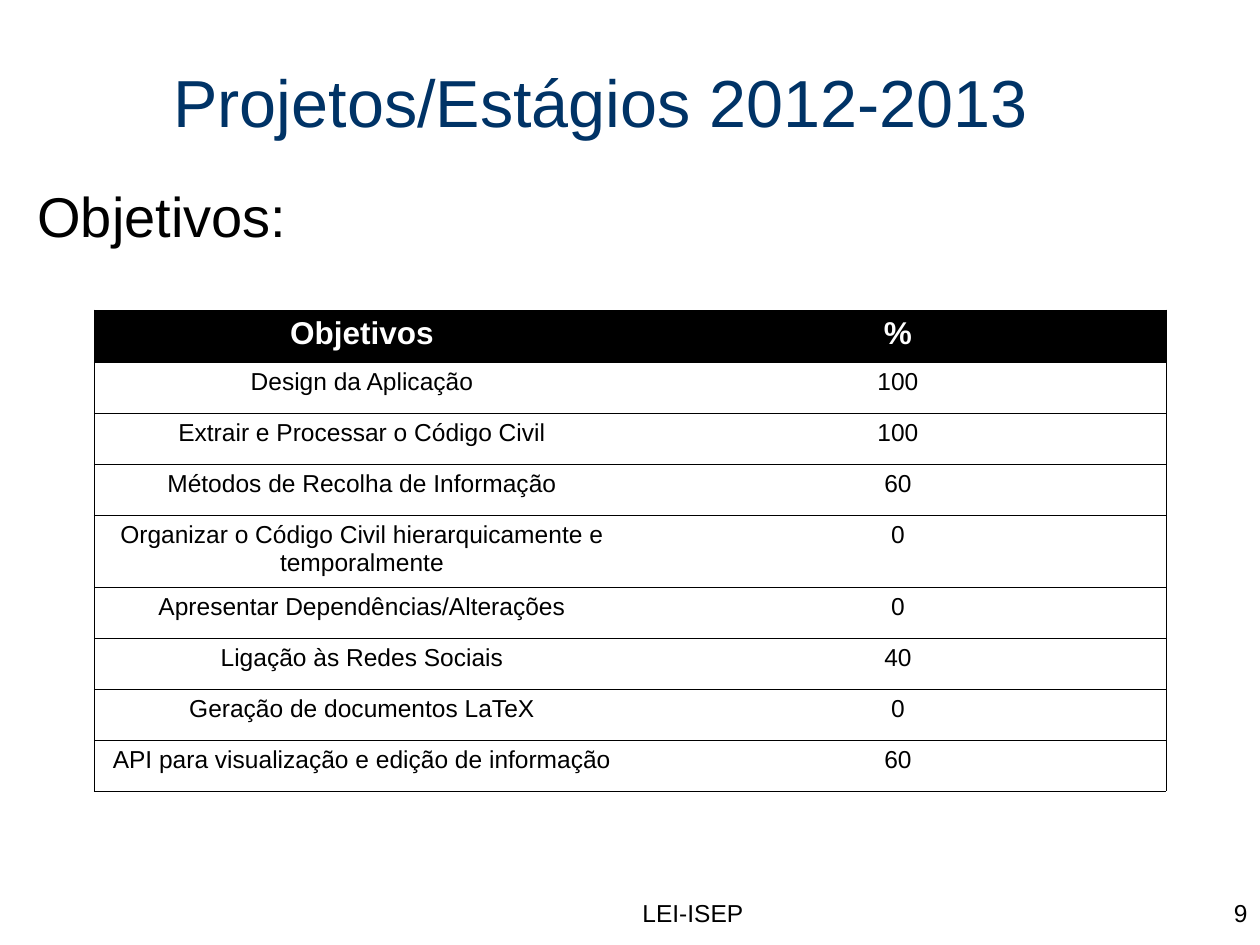
import pptx
import pptx.util
import pptx.dml.color
import pptx.enum.text
import pptx.oxml
import pptx.oxml.ns

PX = 914400 // 126
ALIGN = pptx.enum.text.PP_ALIGN
ANCHOR = pptx.enum.text.MSO_ANCHOR
BORDER = ('<a:{tag} xmlns:a="http://schemas.openxmlformats.org/drawingml/2006/main" w="4320">'
          '<a:solidFill><a:srgbClr val="000000"/></a:solidFill></a:{tag}>')


def rgb(value):
    return pptx.dml.color.RGBColor.from_string(value)


def write(tf, text, size, color, align, bold=False):
    p = tf.paragraphs[0]
    p.alignment = align
    r = p.add_run()
    r.text = text
    font = {"name": "Arial", "size": pptx.util.Pt(size), "bold": bold}
    for key, value in font.items():
        setattr(r.font, key, value)
    r.font.color.rgb = rgb(color)
    return p


prs = pptx.Presentation()
prs.slide_width, prs.slide_height = 1260 * PX, 945 * PX
s = prs.slides.add_slide(prs.slide_layouts[6])

# Footer, page number, title and heading
texts = [
    ("LEI-ISEP", (494, 892, 398, 41), 14, "000000", ALIGN.CENTER, ANCHOR.TOP, 8.8),
    ("9", (998, 892, 262, 41), 14, "000000", ALIGN.RIGHT, ANCHOR.TOP, 8.8),
    ("Projetos/Estágios 2012-2013", (161, 22, 1071, 157), 38, "003366",
     ALIGN.LEFT, ANCHOR.MIDDLE, 0),
    ("Objetivos:", (25, 175, 1208, 697), 32, "000000", ALIGN.LEFT, ANCHOR.TOP, 8),
]
for text, box, size, color, align, anchor, before in texts:
    tf = s.shapes.add_textbox(*(v * PX for v in box)).text_frame
    tf.word_wrap = True
    tf.vertical_anchor = anchor
    p = write(tf, text, size, color, align)
    p.space_before = pptx.util.Pt(before)

# Table of objectives and their completion
rows = [
    ("Objetivos", "%"),
    ("Design da Aplicação", "100"),
    ("Extrair e Processar o Código Civil", "100"),
    ("Métodos de Recolha de Informação", "60"),
    ("Organizar o Código Civil hierarquicamente e temporalmente", "0"),
    ("Apresentar Dependências/Alterações", "0"),
    ("Ligação às Redes Sociais", "40"),
    ("Geração de documentos LaTeX", "0"),
    ("API para visualização e edição de informação", "60"),
]
heights = [51] * len(rows)
heights[0], heights[4] = 52, 72
table = s.shapes.add_table(len(rows), 2, 94 * PX, 310 * PX,
                           1072 * PX, sum(heights) * PX).table
for column in table.columns:
    column.width = 536 * PX
for i, row in enumerate(rows):
    table.rows[i].height = heights[i] * PX
    header = i == 0
    for j, text in enumerate(row):
        cell = table.cell(i, j)
        write(cell.text_frame, text, 18 if header else 14,
              "FFFFFF" if header else "000000", ALIGN.CENTER, header)
        # Borders on the outside and between rows, none between columns
        tcPr = cell._tc.get_or_add_tcPr()
        for tag in ("lnR" if j else "lnL", "lnT", "lnB"):
            tcPr.append(pptx.oxml.parse_xml(BORDER.format(tag=tag)))
        cell.fill.solid()
        cell.fill.fore_color.rgb = rgb("000000" if header else "FFFFFF")

# The inner column edge stays open
for row in table.rows:
    for cell, tag in zip(row.cells, ("lnR", "lnL")):
        tcPr = cell._tc.get_or_add_tcPr()
        edge = pptx.oxml.parse_xml(BORDER.format(tag=tag))
        edge.remove(edge[0])
        edge.append(edge.makeelement(pptx.oxml.ns.qn("a:noFill"), {}))
        tcPr.insert(1 if tag == "lnR" else 0, edge)

prs.save("out.pptx")
